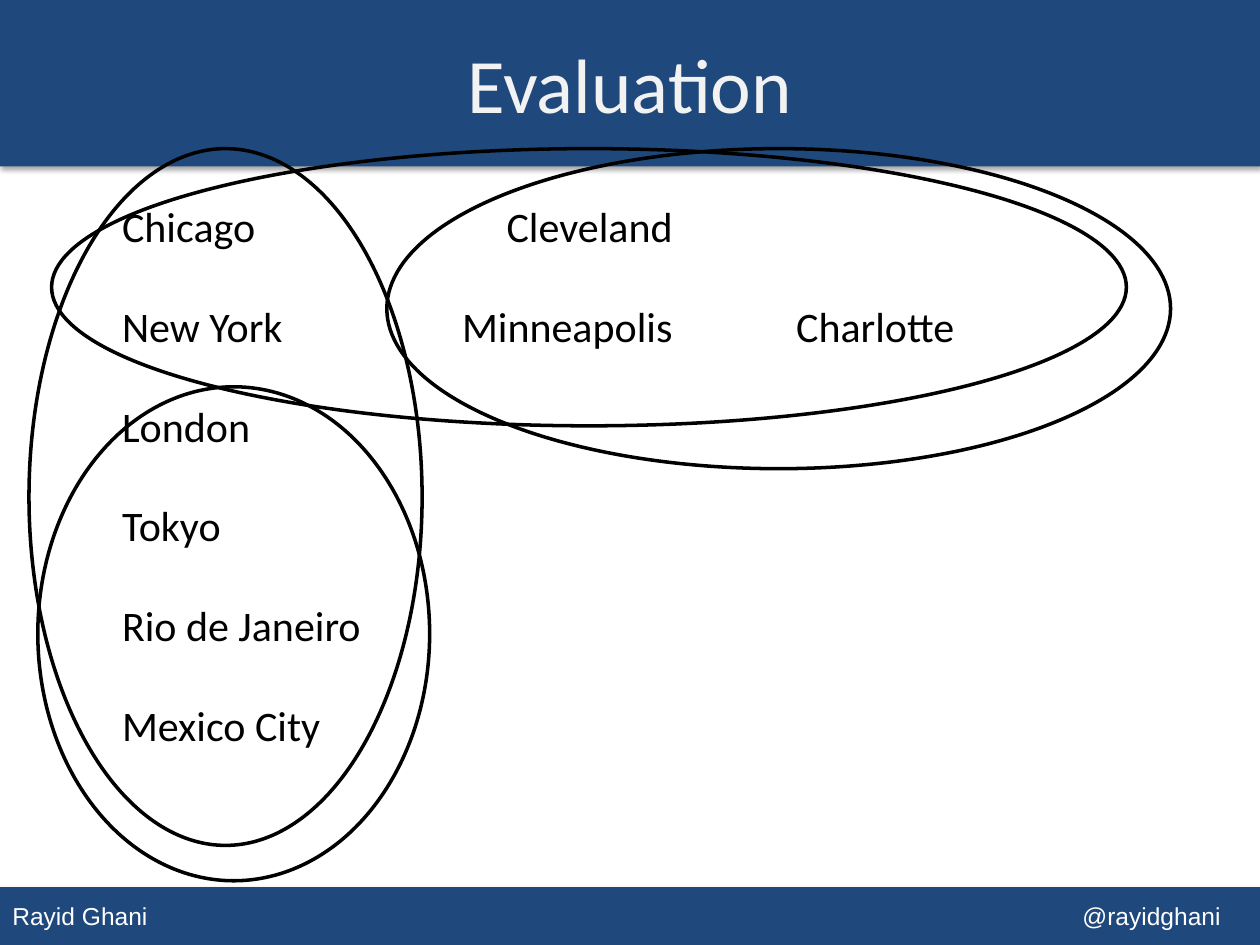
from lxml.etree import SubElement as Sub
from pptx import Presentation
from pptx.dml.color import RGBColor
from pptx.enum.shapes import MSO_SHAPE as Geo
from pptx.enum.text import MSO_ANCHOR as Anchor, PP_ALIGN as Align
from pptx.oxml.ns import qn
from pptx.util import Inches, Pt

NAVY = RGBColor(0x1F, 0x49, 0x7D)
WHITE = RGBColor(0xFF, 0xFF, 0xFF)
PALE = RGBColor(0xF2, 0xF2, 0xF2)
BLACK = RGBColor(0, 0, 0)


class Deck:
    """Holds the style and the current slide."""

    styles = {
        "title": dict(name="Calibri", size=Pt(44), color=PALE),
        "body": dict(name="Calibri", size=Pt(24), color=BLACK),
        "foot": dict(name="Arial", size=Pt(14), color=WHITE),
    }

    def __init__(self, prs):
        self.slide = prs.slides.add_slide(prs.slide_layouts[6])

    def shape(self, geo, box):
        item = self.slide.shapes.add_shape(geo, *map(Inches, box))
        item.shadow.inherit = False
        return item

    def band(self, *box):
        bar = self.shape(Geo.RECTANGLE, box)
        bar.fill.solid()
        bar.fill.fore_color.rgb = NAVY
        bar.line.fill.background()
        # Soft shadow straight below
        effects = bar._element.spPr.find(qn("a:effectLst"))
        shade = Sub(effects, qn("a:outerShdw"), blurRad=str(Pt(3.1)),
                    dist=str(Pt(1.8)), dir="5400000", rotWithShape="0")
        tint = Sub(shade, qn("a:srgbClr"), val="000000")
        Sub(tint, qn("a:alpha"), val="35000")
        return bar

    def ring(self, *box):
        oval = self.shape(Geo.OVAL, box)
        oval.fill.background()
        oval.line.color.rgb = BLACK
        oval.line.width = Pt(2)

    def box(self, *box):
        return self.slide.shapes.add_textbox(*map(Inches, box))

    def text(self, item, lines, style, align=Align.LEFT,
             anchor=Anchor.MIDDLE, gap=0, tabs=()):
        frame = item.text_frame
        frame.word_wrap = True
        frame.vertical_anchor = anchor
        for i, line in enumerate(lines):
            para = frame.add_paragraph() if i else frame.paragraphs[0]
            para.alignment = align
            para.space_after = Pt(gap)
            self.tabs(para, tabs)
            run = para.add_run()
            run.text = line
            for key, value in self.styles[style].items():
                if key == "color":
                    run.font.color.rgb = value
                else:
                    setattr(run.font, key, value)

    def tabs(self, para, stops):
        if stops:
            tablist = Sub(para._p.get_or_add_pPr(), qn("a:tabLst"))
            for pos, side in stops:
                Sub(tablist, qn("a:tab"), pos=str(Inches(pos)), algn=side)


def main():
    prs = Presentation()
    prs.slide_width, prs.slide_height = Inches(10), Inches(7.5)
    deck = Deck(prs)

    # Footer and header bands
    foot = deck.band(0, 7.04, 10, 0.46)
    deck.text(foot, ["Rayid Ghani\t@rayidghani"], "foot", tabs=[(9.59, "r")])
    deck.band(0, 0, 10, 1.32)
    deck.text(deck.box(0, 0.03, 10, 1.25), ["Evaluation"], "title",
              Align.CENTER)

    # Cities, in columns set by tab stops
    cities = ["Chicago\tCleveland", "New York\tMinneapolis\tCharlotte",
              "London", "Tokyo", "Rio de Janeiro", "Mexico City"]
    deck.text(deck.box(0.87, 1.54, 7.99, 5.35), cities, "body",
              anchor=Anchor.TOP, gap=28.3, tabs=[(4.37, "r"), (5.35, "l")])

    # Overlapping groups
    for group in [(0.41, 1.18, 8.53, 2.2), (0.3, 3.07, 3.11, 3.92),
                  (0.23, 1.18, 3.12, 5.53), (3.07, 1.18, 6.22, 2.54)]:
        deck.ring(*group)

    prs.save("out.pptx")


if __name__ == "__main__":
    main()
